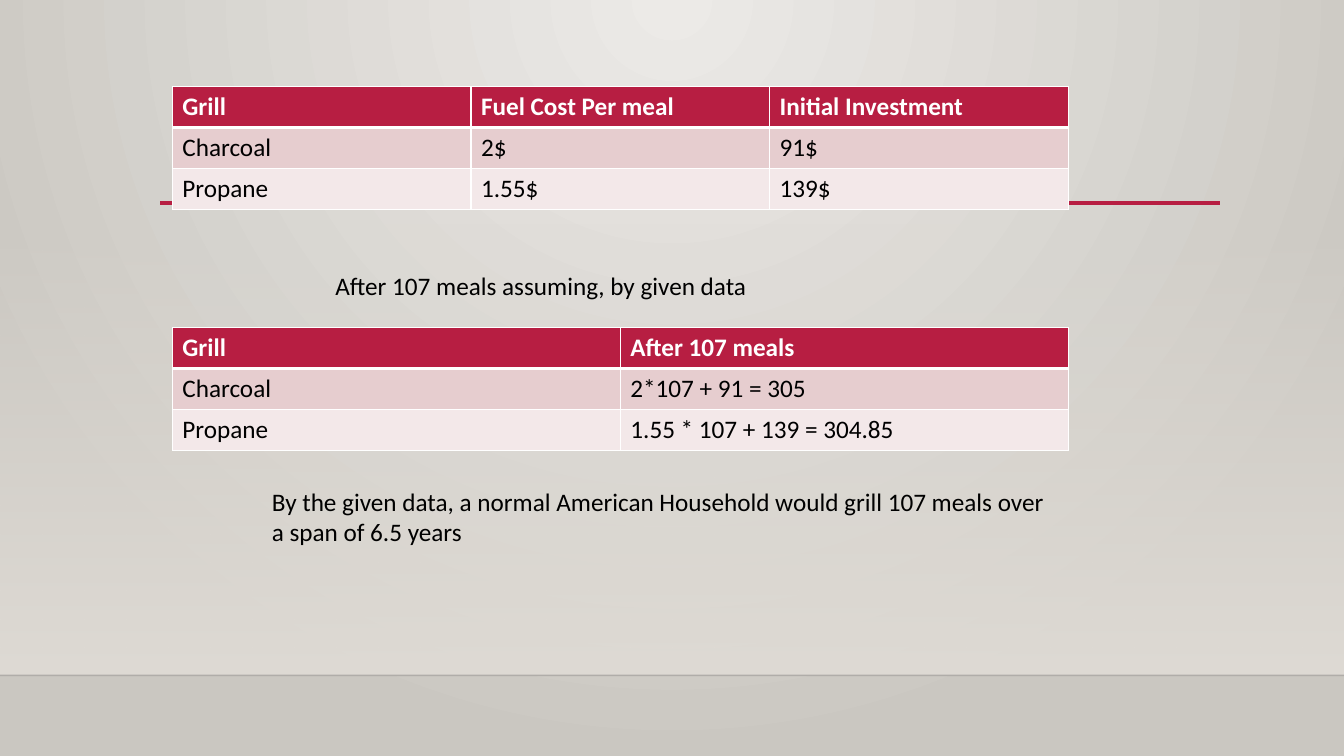
from dataclasses import dataclass

from lxml import etree
from pptx import Presentation
from pptx.dml.color import RGBColor
from pptx.enum.shapes import MSO_CONNECTOR, MSO_SHAPE
from pptx.oxml import parse_xml
from pptx.oxml.ns import nsdecls, qn
from pptx.util import Pt

STRAIGHT = MSO_CONNECTOR.STRAIGHT
RECT = MSO_SHAPE.RECTANGLE


@dataclass(frozen=True)
class Theme:
    """Colours, font and sizes of the slide."""
    bg_light: str = "ECEAE7"
    bg_dark: str = "CAC7C1"
    wall: str = "DFDBD5"
    floor_line: str = "000001"
    accent: str = "B71E42"
    bands: tuple = ("E6CDCF", "F3E8E9")
    white: str = "FFFFFF"
    black: str = "000000"
    font: str = "Calibri"
    size: int = 18


THEME = Theme()


def rgb(code):
    """Turn a hex code into a colour."""
    return RGBColor.from_string(code)


def set_gradient(props, stops, direction):
    """Swap the solid fill of an element for a gradient."""
    gs = "".join(
        f'<a:gs pos="{pos * 1000}"><a:srgbClr val="{color}">'
        f'<a:alpha val="{alpha * 1000}"/></a:srgbClr></a:gs>'
        for pos, color, alpha in stops)
    grad = parse_xml(f'<a:gradFill {nsdecls("a")} rotWithShape="1">'
                     f'<a:gsLst>{gs}</a:gsLst>{direction}</a:gradFill>')
    props.replace(props.find(qn("a:solidFill")), grad)


def add_line(s, x, y, w, color, weight, alpha=100):
    """Draw a horizontal line."""
    ln = s.shapes.add_connector(STRAIGHT, Pt(x), Pt(y), Pt(x + w), Pt(y))
    ln.line.color.rgb = rgb(color)
    ln.line.width = Pt(weight)
    props = ln._element.spPr
    etree.SubElement(props, qn("a:effectLst"))
    if alpha < 100:
        clr = next(props.iter(qn("a:srgbClr")))
        etree.SubElement(clr, qn("a:alpha")).set("val", str(alpha * 1000))


def add_run(p, text, color, bold=False):
    """Add one styled run to a paragraph."""
    r = p.add_run()
    r.text = text
    r.font.name = THEME.font
    r.font.size = Pt(THEME.size)
    r.font.bold = bold
    r.font.color.rgb = rgb(color)


def add_backdrop(s, w, h):
    """Paint the background, wall and floor edge."""
    s.background.fill.solid()
    set_gradient(next(s._element.iter(qn("p:bgPr"))),
                 [(0, THEME.bg_light, 100), (100, THEME.bg_dark, 100)],
                 '<a:path path="circle"><a:fillToRect l="43000" t="0" '
                 'r="43000" b="100000"/></a:path>')
    floor = h - 57.6
    top = 159.12
    sp = s.shapes.add_shape(RECT, 0, Pt(top), Pt(w), Pt(floor - top))
    sp.shadow.inherit = False
    sp.line.fill.background()
    sp.fill.solid()
    set_gradient(sp._element.spPr,
                 [(0, THEME.wall, 0), (100, THEME.wall, 100)],
                 '<a:lin ang="5400000" scaled="0"/>')
    add_line(s, 0, floor, w, THEME.floor_line, 1, 20)


def set_borders(cell, top, bottom):
    """Give a cell white borders of the given top and bottom weights."""
    tc_pr = cell._tc.get_or_add_tcPr()
    weights = {"L": 1, "R": 1, "T": top, "B": bottom}
    for i, (side, weight) in enumerate(weights.items()):
        tc_pr.insert(i, parse_xml(
            f'<a:ln{side} {nsdecls("a")} w="{Pt(weight)}"><a:solidFill>'
            f'<a:srgbClr val="{THEME.white}"/></a:solidFill></a:ln{side}>'))


def add_grill_table(s, x, y, w, h, rows):
    """Add a banded table with a header row and equal columns."""
    n_rows, n_cols = len(rows), len(rows[0])
    table = s.shapes.add_table(n_rows, n_cols, Pt(x), Pt(y), Pt(w), Pt(h)).table
    for i, row in enumerate(rows):
        header = i == 0
        fill = THEME.accent if header else THEME.bands[(i - 1) % 2]
        for j, text in enumerate(row):
            cell = table.cell(i, j)
            cell.fill.solid()
            cell.fill.fore_color.rgb = rgb(fill)
            set_borders(cell, 3 if i == 1 else 1, 3 if header else 1)
            add_run(cell.text_frame.paragraphs[0], text,
                    THEME.white if header else THEME.black, header)


def add_note(s, x, y, w, h, text):
    """Add a wrapped text box."""
    tf = s.shapes.add_textbox(Pt(x), Pt(y), Pt(w), Pt(h)).text_frame
    tf.word_wrap = True
    add_run(tf.paragraphs[0], text, THEME.black)


def add_comparison(s, x, y, w):
    """Place both tables and their notes below one another."""
    table_h = 87.6
    add_line(s, x - 8.6, y + 83.3, 756.7, THEME.accent, 2.5)
    add_grill_table(s, x, y, w, table_h, [
        ("Grill", "Fuel Cost Per meal", "Initial Investment"),
        ("Charcoal", "2$", "91$"),
        ("Propane", "1.55$", "139$")])
    add_note(s, x + 109.4, y + 127.5, 469.4, 29,
             "After 107 meals assuming, by given data")
    add_grill_table(s, x, y + 172.2, w, table_h, [
        ("Grill", "After 107 meals"),
        ("Charcoal", "2*107 + 91 = 305"),
        ("Propane", "1.55 * 107 + 139 = 304.85")])
    add_note(s, x + 64, y + 281.7, 576, 51,
             "By the given data, a normal American Household would grill "
             "107 meals over a span of 6.5 years")


def main():
    """Build and save the slide."""
    w, h = 960, 540
    prs = Presentation()
    prs.slide_width, prs.slide_height = Pt(w), Pt(h)
    s = prs.slides.add_slide(prs.slide_layouts[6])
    add_backdrop(s, w, h)
    add_comparison(s, 123.1, 61.8, 640)
    prs.save("out.pptx")


if __name__ == "__main__":
    main()
